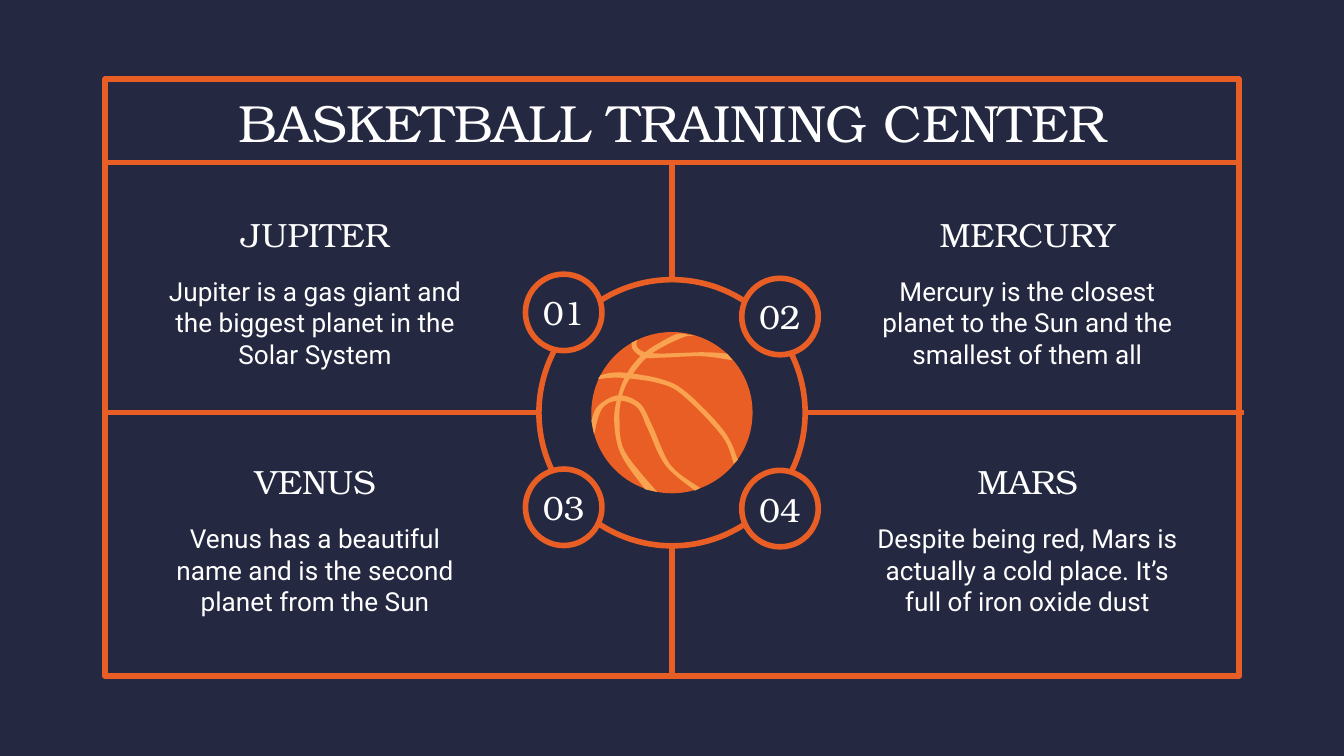
import pptx
import pptx.dml.color
import pptx.enum.shapes
import pptx.enum.text
import pptx.oxml
import pptx.oxml.ns
import pptx.util

Pt = pptx.util.Pt
RGBColor = pptx.dml.color.RGBColor
SHAPE = pptx.enum.shapes.MSO_SHAPE
ANCHOR = pptx.enum.text.MSO_ANCHOR

NAVY = RGBColor(0x24, 0x28, 0x41)
ORANGE = RGBColor(0xE9, 0x5E, 0x24)
AMBER = RGBColor(0xF9, 0xA3, 0x50)
WHITE = RGBColor(0xFF, 0xFF, 0xFF)
SERIF, SANS = "TeX Gyre Bonum", "Roboto"
INSET = 7.2

COLUMN_LEFTS = (77, 458.6)
ROW_TOPS = (107.3, 239.8)
PLANETS = [
    ("JUPITER", "Jupiter is a gas giant and the biggest planet in the Solar System"),
    ("MERCURY", "Mercury is the closest planet to the Sun and the smallest of them all"),
    ("VENUS", "Venus has a beautiful name and is the second planet from the Sun"),
    ("MARS", "Despite being red, Mars is actually a cold place. It’s full of iron oxide dust"),
]
BADGE_SIZE = 41
BADGE_CORNERS = [(281.5, 146.9), (397.4, 149.1), (281.5, 251.3), (397.4, 252)]

BALL_LEFT, BALL_TOP, BALL_SIZE = 316.8, 177.9, 86.4
SEAM_UNIT = 0.72  # points per seam unit; the ball is 120 units wide
# The two edges of each seam, measured from the ball's top left corner
SEAMS = [
    ([(67, 1), (60, 3), (40, 15), (27, 30), (20, 47), (17, 66), (22, 91), (40, 117)],
     [(77, 3), (68, 4), (45, 16), (31, 31), (23, 47), (21, 66), (25, 89), (49, 119)]),
    ([(7, 32), (22, 30), (52, 35), (71, 45), (99, 74), (109, 95)],
     [(5, 35), (22, 34), (50, 38), (68, 47), (97, 77), (106, 98)]),
    ([(0, 66), (5, 55), (20, 47), (36, 53), (45, 69), (59, 99), (81, 116)],
     [(2, 76), (8, 57), (20, 51), (34, 56), (42, 72), (55, 99), (77, 118)]),
    ([(30, 8), (31, 13), (39, 19), (54, 19), (82, 18), (105, 21)],
     [(34, 6), (34, 11), (40, 15), (54, 16), (82, 15), (101, 16)]),
]


def write_text(frame, text, font, size, anchor, side_inset=INSET, space_after=0):
    settings = {
        "word_wrap": True,
        "auto_size": pptx.enum.text.MSO_AUTO_SIZE.NONE,
        "vertical_anchor": anchor,
        "margin_left": Pt(side_inset),
        "margin_right": Pt(side_inset),
        "margin_top": Pt(INSET),
        "margin_bottom": Pt(INSET),
    }
    for name, value in settings.items():
        setattr(frame, name, value)
    paragraph = frame.paragraphs[0]
    paragraph.alignment = pptx.enum.text.PP_ALIGN.CENTER
    paragraph.space_after = Pt(space_after)
    run = paragraph.add_run()
    run.text = text
    for name, value in {"name": font, "size": Pt(size), "bold": False}.items():
        setattr(run.font, name, value)
    run.font.color.rgb = WHITE


def add_text(slide, left, top, width, height, *text_args, **text_options):
    box = slide.shapes.add_textbox(Pt(left), Pt(top), Pt(width), Pt(height))
    write_text(box.text_frame, *text_args, **text_options)


def stroke(shape):
    shape.line.color.rgb = ORANGE
    shape.line.width = Pt(3)


def add_outlined(slide, kind, left, top, width, height, fill=None):
    shape = slide.shapes.add_shape(kind, Pt(left), Pt(top), Pt(width), Pt(height))
    shape.shadow.inherit = False
    if fill is None:
        shape.fill.background()
    else:
        shape.fill.solid()
        shape.fill.fore_color.rgb = fill
    stroke(shape)
    return shape


def add_court_line(slide, x1, y1, x2, y2):
    line = slide.shapes.add_connector(
        pptx.enum.shapes.MSO_CONNECTOR.STRAIGHT, Pt(x1), Pt(y1), Pt(x2), Pt(y2))
    stroke(line)
    properties = line.element.find(pptx.oxml.ns.qn("p:spPr"))
    properties.append(pptx.oxml.parse_xml(
        f'<a:effectLst {pptx.oxml.ns.nsdecls("a")}/>'))
    return line


def smooth(points, steps=6):
    """Return points along a Catmull-Rom curve through the given points."""
    padded = [points[0], *points, points[-1]]
    curve = []
    for a, b, c, d in zip(padded, padded[1:], padded[2:], padded[3:]):
        for step in range(steps):
            t = step / steps
            curve.append(tuple(
                q + t / 2 * (r - p + t * (2 * p - 5 * q + 4 * r - s
                                          + t * (3 * q - p - 3 * r + s)))
                for p, q, r, s in zip(a, b, c, d)))
    return curve + [points[-1]]


def add_basketball(slide):
    ball = add_outlined(slide, SHAPE.OVAL, BALL_LEFT, BALL_TOP,
                        BALL_SIZE, BALL_SIZE, ORANGE)
    ball.line.fill.background()
    for edge, opposite_edge in SEAMS:
        outline = smooth(edge) + smooth(opposite_edge)[::-1]
        builder = slide.shapes.build_freeform(*outline[0], scale=Pt(SEAM_UNIT) / 10)
        # Tenths of a unit keep the curve smooth on the whole-number grid
        tenths = [(10 * x, 10 * y) for x, y in outline]
        builder = slide.shapes.build_freeform(*tenths[0], scale=Pt(SEAM_UNIT) / 10)
        builder.add_line_segments(tenths[1:], close=True)
        seam = builder.convert_to_shape(Pt(BALL_LEFT), Pt(BALL_TOP))
        seam.shadow.inherit = False
        seam.fill.solid()
        seam.fill.fore_color.rgb = AMBER
        seam.line.fill.background()


def add_title(slide):
    title = slide.shapes.title
    place = {"left": 56.2, "top": 42.5, "width": 607.7, "height": 45.4}
    for name, value in place.items():
        setattr(title, name, Pt(value))
    write_text(title.text_frame, "BASKETBALL TRAINING CENTER", SERIF, 28, ANCHOR.MIDDLE)


def add_court(slide):
    frame = add_outlined(slide, SHAPE.RECTANGLE, 56.2, 42.5, 607.7, 319.7)
    add_court_line(slide, 57.6, 87.1, 662.4, 87.1)
    halfway = add_court_line(slide, 360, 87.8, 360, 362.2)
    halfway.end_connect(frame, 2)
    add_outlined(slide, SHAPE.OVAL, 288.7, 149.8, 142.6, 142.6, NAVY)
    add_court_line(slide, 431.3, 221, 666.7, 221)
    add_court_line(slide, 57.6, 221, 288.7, 221)


def add_planet(slide, index, name, description):
    row, column = divmod(index, 2)
    left, top = COLUMN_LEFTS[column], ROW_TOPS[row]
    add_text(slide, left, top, 183.6, 36, name, SERIF, 18, ANCHOR.BOTTOM, space_after=12)
    add_text(slide, left, top + 33.1, 183.6, 62.6, description, SANS, 14, ANCHOR.TOP)


def add_badge(slide, number, left, top):
    badge = add_outlined(slide, SHAPE.OVAL, left, top, BADGE_SIZE, BADGE_SIZE, NAVY)
    write_text(badge.text_frame, f"{number:02}", SERIF, 18, ANCHOR.MIDDLE, side_inset=0)


def main():
    deck = pptx.Presentation()
    deck.slide_width, deck.slide_height = Pt(720), Pt(405)
    slide = deck.slides.add_slide(deck.slide_layouts.get_by_name("Title Only"))
    slide.background.fill.solid()
    slide.background.fill.fore_color.rgb = NAVY
    add_title(slide)
    add_court(slide)
    for index, (name, description) in enumerate(PLANETS):
        add_planet(slide, index, name, description)
    add_basketball(slide)
    for number, (left, top) in enumerate(BADGE_CORNERS, start=1):
        add_badge(slide, number, left, top)
    deck.save("out.pptx")


if __name__ == "__main__":
    main()
